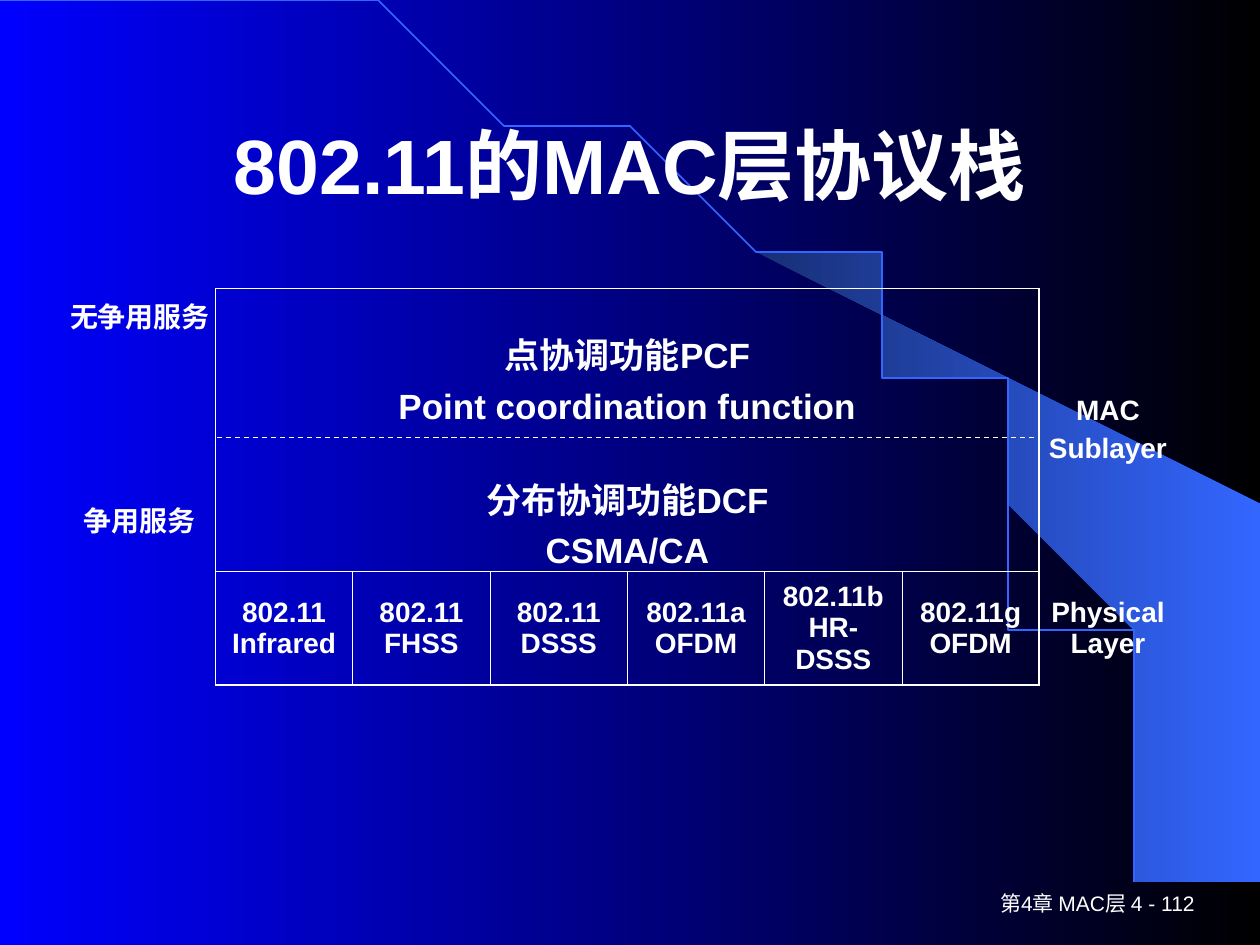
from lxml import etree
from pptx import Presentation, util as u
from pptx.dml.color import RGBColor as Rgb
from pptx.enum import dml, shapes, text
from pptx.oxml.ns import qn

# Content
TITLE = "802.11的MAC层协议栈"
FOOT = "第4章 MAC层 4 - 112"
SERVE = ["无争用服务", "争用服务"]
CORE = [["点协调功能PCF", "Point coordination function"],
        ["分布协调功能DCF", "CSMA/CA"]]
SIDE = ["MAC", "Sublayer"]
PHYS = ["802.11 Infrared", "802.11 FHSS", "802.11 DSSS", "802.11a OFDM",
        "802.11b HR-DSSS", "802.11g OFDM"]
LAYER = "Physical Layer"

THEME = {
    "font": "Arial", "white": "FFFFFF", "arc": "3366FF",
    "back": ("0000FF", "000000"), "wedge": ("182F76", "3366FF"),
    "title": 44, "core": 20, "label": 16, "foot": 12,
    "thick": 1.08, "thin": 0.45, "dash": 0.75,
}
WEDGE = [(9.2, 7.48), (9.99, 7.49), (9.99, 4.23), (5.89, 1.73), (6.24, 1.99),
         (6.53, 2.22), (6.85, 2.5), (7.16, 2.8), (7.62, 3.3), (8.03, 3.84),
         (8.32, 4.31), (8.58, 4.79), (8.78, 5.28), (8.93, 5.72), (9.03, 6.09),
         (9.13, 6.56), (9.17, 6.96)]
CURVE = [(0, 0), (5.08, 0), (9.2, 3.35), (9.2, 7.49)]
LEFT, TOP = 0.51, 2.29
COLS = [1.2] + [1.09] * 6 + [1.09]
ROWS = [1.41, 0.83, 0.83]
LAST = len(PHYS)
MID, CENTER = text.MSO_ANCHOR.MIDDLE, text.PP_ALIGN.CENTER


def color(key):
    return Rgb.from_string(THEME[key])


def shade(fill, key):
    fill.gradient()
    fill.gradient_angle = 0
    for stop, tone in zip(fill.gradient_stops, THEME[key]):
        stop.color.rgb = Rgb.from_string(tone)


def write(frame, lines, size, bold=True, align=CENTER, gap=0):
    frame.text = "\n".join(lines)
    for i, para in enumerate(frame.paragraphs):
        para.alignment = align
        if i:
            para.space_before = u.Pt(gap)
        for run in para.runs:
            font = run.font
            font.name, font.size, font.bold = THEME["font"], u.Pt(THEME[size]), bold
            font.color.rgb = color("white")


def label(slide, box, words, size, **look):
    frame = slide.shapes.add_textbox(*map(u.Inches, box)).text_frame
    frame.word_wrap = True
    frame.vertical_anchor = MID
    write(frame, [words], size, **look)


def outline(slide, points, close):
    pen = slide.shapes.build_freeform(*points[0], scale=u.Inches(1))
    pen.add_line_segments(points[1:], close=close)
    shape = pen.convert_to_shape()
    shape.shadow.inherit = False
    return shape


def bezier(ends, steps=48):
    marks = []
    for i in range(steps + 1):
        t = i / steps
        parts = ((1 - t) ** 3, 3 * t * (1 - t) ** 2, 3 * t * t * (1 - t), t ** 3)
        marks.append(tuple(sum(w * p[k] for w, p in zip(parts, ends)) for k in (0, 1)))
    return marks


def edges(r, c):
    """Widths of the left, right, top and bottom borders of a cell."""
    thick, thin = THEME["thick"], THEME["thin"]
    if c == 0:
        return 0, thick, 0, 0
    if c > LAST:
        return thick, 0, 0, 0
    inner = thin if r == 2 else 0
    return (thick if c == 1 else inner,
            thick if c == LAST or (r < 2 and c == 1) else inner,
            (thick, 0, thin)[r], (0, thin, thick)[r])


def border(cell, widths):
    props = cell._tc.get_or_add_tcPr()
    for i, (side, width) in enumerate(zip("LRTB", widths)):
        line = etree.Element(qn("a:ln" + side), w=str(int(u.Pt(width))))
        if width:
            fill = etree.SubElement(line, qn("a:solidFill"))
            etree.SubElement(fill, qn("a:srgbClr"), val=THEME["white"])
        else:
            etree.SubElement(line, qn("a:noFill"))
        props.insert(i, line)


def stack(slide):
    box = map(u.Inches, (LEFT, TOP, sum(COLS), sum(ROWS)))
    table = slide.shapes.add_table(len(ROWS), len(COLS), *box).table
    table.first_row = table.horz_banding = False
    for col, width in zip(table.columns, COLS):
        col.width = u.Inches(width)
    for row, height in zip(table.rows, ROWS):
        row.height = u.Inches(height)
    for r in range(len(ROWS)):
        for c in range(len(COLS)):
            cell = table.cell(r, c)
            cell.fill.background()
            cell.vertical_anchor = MID
            if c in (0, LAST + 1):
                cell.margin_left = cell.margin_right = u.Inches(0.04)
            border(cell, edges(r, c))

    # Service labels and coordination functions
    for r, (name, lines) in enumerate(zip(SERVE, CORE)):
        write(table.cell(r, 0).text_frame, [name], "label")
        table.cell(r, 1).merge(table.cell(r, LAST))
        write(table.cell(r, 1).text_frame, lines, "core", gap=5)
    table.cell(0, 0).vertical_anchor = text.MSO_ANCHOR.TOP
    table.cell(1, 1).vertical_anchor = text.MSO_ANCHOR.TOP

    # Sublayer label and physical layer
    table.cell(0, LAST + 1).merge(table.cell(1, LAST + 1))
    write(table.cell(0, LAST + 1).text_frame, SIDE, "label", gap=4)
    for c, name in enumerate(PHYS + [LAYER], 1):
        write(table.cell(2, c).text_frame, [name], "label")


def main():
    deck = Presentation()
    deck.slide_width, deck.slide_height = u.Inches(10), u.Inches(7.5)
    slide = deck.slides.add_slide(deck.slide_layouts[6])

    # Backdrop
    shade(slide.background.fill, "back")
    wedge = outline(slide, WEDGE, True)
    shade(wedge.fill, "wedge")
    wedge.line.fill.background()
    arc = outline(slide, bezier(CURVE), False)
    arc.fill.background()
    arc.line.color.rgb = color("arc")
    arc.line.width = u.Pt(1)

    # Footer and title
    label(slide, (7.5, 7, 2.08, 0.33), FOOT, "foot", bold=False,
          align=text.PP_ALIGN.RIGHT)
    label(slide, (0.75, 0.67, 8.5, 1.25), TITLE, "title")

    # Protocol stack with its dashed divider
    stack(slide)
    ends = map(u.Inches, (1.72, 3.47, 8.22, 3.47))
    rule = slide.shapes.add_connector(shapes.MSO_CONNECTOR.STRAIGHT, *ends)
    rule.line.color.rgb = color("white")
    rule.line.width = u.Pt(THEME["dash"])
    rule.line.dash_style = dml.MSO_LINE.DASH
    etree.SubElement(rule._element.spPr, qn("a:effectLst"))

    deck.save("out.pptx")


if __name__ == "__main__":
    main()
